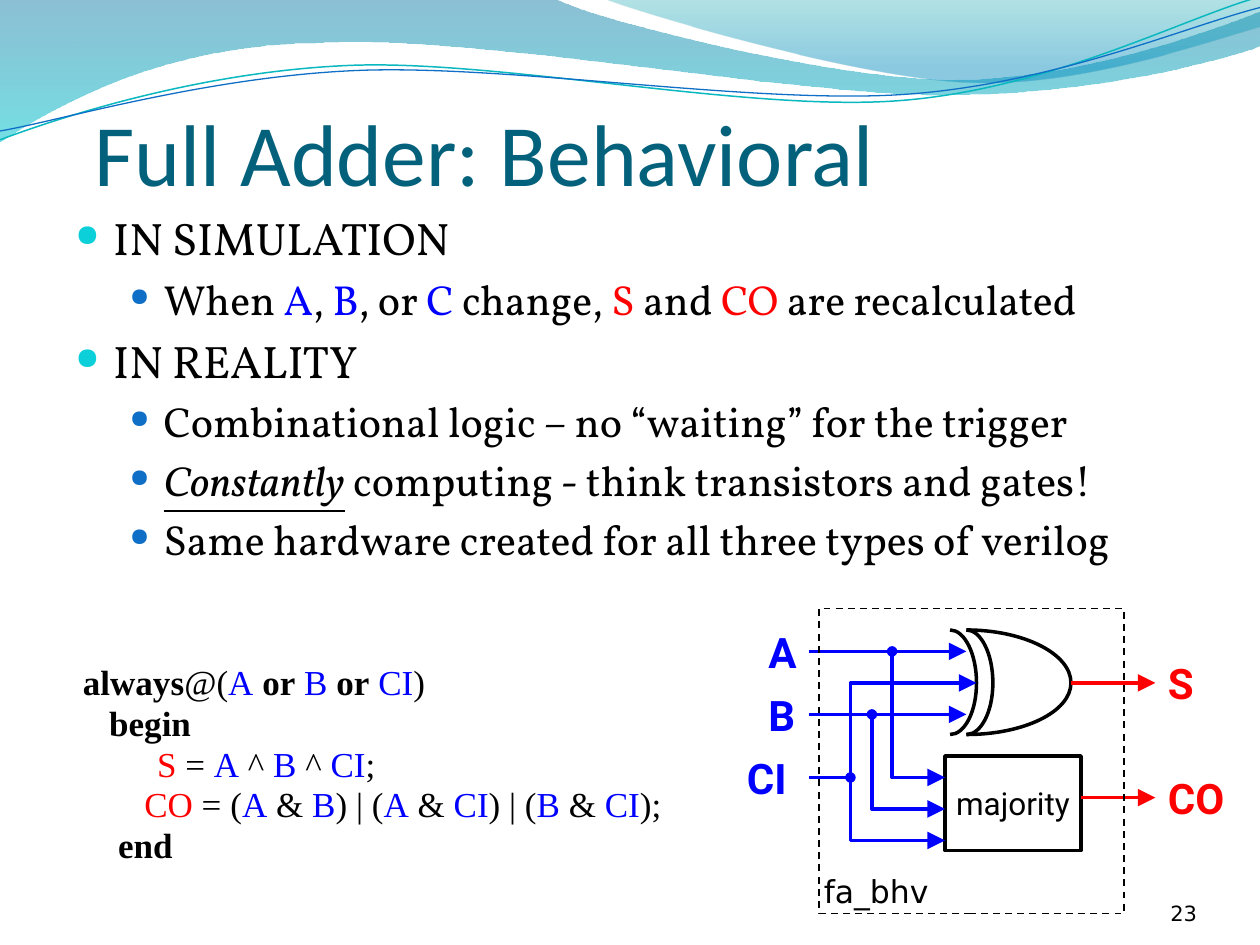
import pptx
import pptx.util
import pptx.dml.color
import pptx.enum.dml
import pptx.enum.shapes
import pptx.enum.text
import pptx.oxml
import pptx.oxml.ns
from lxml import etree

Inches, Pt = pptx.util.Inches, pptx.util.Pt
qn = pptx.oxml.ns.qn
ALIGN = pptx.enum.text.PP_ALIGN
ANCHOR = pptx.enum.text.MSO_ANCHOR

COLORS = {
    "black": "000000", "input": "0000FF", "output": "FF0000", "title": "04617B",
    "bullet": "0BD0D9", "sub_bullet": "0F6FC6", "teal": "0AB8BF", "blue": "0F6FC6",
    "deep": "0074A1", "aqua": "00C6CF", "sea": "00A1A9", "sky": "008BBF",
}
INPUTS, OUTPUTS = ("A", "B", "C", "CI"), ("S", "CO")
KEYWORDS = ("always", "or", "begin", "end")

TITLE = "Full Adder: Behavioral"
BULLETS = [
    (0, "IN SIMULATION"),
    (1, "When ~A~, ~B~, or ~C~ change, ~S~ and ~CO~ are recalculated"),
    (0, "IN REALITY"),
    (1, "Combinational logic – no “waiting” for the trigger"),
    (1, "~Constantly~ computing - think transistors and gates!"),
    (1, "Same hardware created for all three types of verilog"),
]
BULLET_STYLES = [(0.3, -0.3, 26, 67, "bullet"), (0.7, -0.27, 24, 60, "sub_bullet")]
CODE = [
    "~always~@(~A~ ~or~ ~B~ ~or~ ~CI~)",
    "   ~begin~",
    "\t   ~S~ = ~A~ ^ ~B~ ^ ~CI~;",
    "       ~CO~ = (~A~ & ~B~) | (~A~ & ~CI~) | (~B~ & ~CI~);",
    "    ~end~",
]
BANDS = [
    ([(0, -0.01), (4.4, -0.01),
      [(4.76, 0.17), (6.64, 0.63), (7.58, 0.63)], [(8.53, 0.63), (9.58, 0.26), (10, 0.09)],
      (10.01, 0.36), [(9.83, 0.44), (8.7, 0.76), (7.46, 0.75)],
      [(6.22, 0.75), (3.82, 0.28), (2.57, 0.34)], [(1.29, 0.35), (0.46, 0.83), (-0.01, 1.13)]],
     [(0, "deep", 45), (1, "aqua", 55)]),
    ([(4.79, -0.01), [(5.09, 0.11), (6.82, 0.62), (7.69, 0.65)],
      [(8.56, 0.69), (9.61, 0.32), (10, 0.21)], (10, 0)],
     [(0, "sea", 30), (0.8, "sky", 45)]),
]
WAVES = [
    ([(0, 1.11), [(0.48, 0.93), (1.58, 0.57), (2.77, 0.52)],
      [(3.95, 0.47), (5.93, 0.89), (7.13, 0.8)], [(8.33, 0.71), (9.38, 0.15), (9.98, -0.02)]],
     "teal", 0.85),
    ([(0, 1.04), [(0.47, 0.96), (1.64, 0.61), (2.83, 0.56)],
      [(4.03, 0.51), (5.97, 0.83), (7.17, 0.75)], [(8.36, 0.67), (9.41, 0.21), (10, 0.06)]],
     "blue", 0.75),
]
GATE_ARCS = [(7.67, 8.5), (7.67, 7.88), (7.54, 7.75)]
GATE_TOP, GATE_MIDDLE, GATE_BOTTOM = 5, 5.42, 5.83
STRAIGHT_WIRES = [
    ((6.42, 5.17), (7.67, 5.17), "input"), ((6.42, 5.67), (7.67, 5.67), "input"),
    ((8.5, 5.42), (9.17, 5.42), "output"), ((8.58, 6.33), (9.17, 6.33), "output"),
]
BENT_WIRES = [
    ([(6.75, 6.17), (6.75, 5.42), (7.75, 5.42)], True),
    ([(6.92, 5.67), (6.92, 6.42), (7.5, 6.42)], True),
    ([(7.08, 5.17), (7.08, 6.17), (7.5, 6.17)], True),
    ([(6.42, 6.17), (6.75, 6.17), (6.75, 6.67), (7.5, 6.67)], False),
]
PINS = [("A", 6, 4.92, 0.43), ("B", 6, 5.42, 0.43), ("CI", 5.83, 5.92, 0.59),
        ("S", 9.17, 5.17, 0.41), ("CO", 9.17, 6.08, 0.68)]


def rgb(name):
    return pptx.dml.color.RGBColor.from_string(COLORS[name])


def style_font(font, face, size, color="black", bold=False):
    font.name, font.size, font.bold = face, Pt(size), bold
    font.color.rgb = rgb(color)


def add_spans(para, marked, face, size):
    for index, part in enumerate(marked.split("~")):
        if not part:
            continue
        span = para.add_run()
        span.text = part
        name = part if index % 2 else ""
        color = "input" if name in INPUTS else "output" if name in OUTPUTS else "black"
        style_font(span.font, face, size, color, name in KEYWORDS)
        if name == "Constantly":
            span.font.italic = span.font.underline = True


def add_box(page, left, top, width, height, wrap=True):
    box = page.shapes.add_textbox(Inches(left), Inches(top), Inches(width), Inches(height))
    box.text_frame.word_wrap = wrap
    return box.text_frame


def add_label(page, text, place, face, size, color="black", bold=False):
    frame = add_box(page, *place, wrap=False)
    frame.text = text
    style_font(frame.paragraphs[0].runs[0].font, face, size, color, bold)
    return frame


def add_outline(page, steps, close=False):
    ends = [step if isinstance(step, tuple) else step[-1] for step in steps]
    points = [(Inches(x), Inches(y)) for x, y in ends]
    builder = page.shapes.build_freeform(*points[0], scale=1.0)
    builder.add_line_segments(points[1:], close=close)
    shape = builder.convert_to_shape()
    shape.shadow.inherit = False
    segments = list(shape._element.spPr.iter(qn("a:lnTo")))
    for segment, step in zip(segments, steps[1:]):
        if isinstance(step, list):
            curve = etree.Element(qn("a:cubicBezTo"))
            for x, y in step:
                etree.SubElement(curve, qn("a:pt"), x=str(Inches(x) - shape.left),
                                 y=str(Inches(y) - shape.top))
            segment.getparent().replace(segment, curve)
    return shape


def set_line(shape, color, width):
    shape.line.color.rgb = rgb(color)
    shape.line.width = Pt(width)


def add_curve(page, steps, color, width):
    shape = add_outline(page, steps)
    shape.fill.background()
    set_line(shape, color, width)
    return shape


def add_ends(shape, dot=False):
    line = shape.line._get_or_add_ln()
    if dot:
        etree.SubElement(line, qn("a:headEnd"), type="oval")
    etree.SubElement(line, qn("a:tailEnd"), type="triangle", w="lg", len="lg")


def add_rectangle(page, left, top, width, height, line_width):
    shape = page.shapes.add_shape(pptx.enum.shapes.MSO_SHAPE.RECTANGLE, Inches(left),
                                  Inches(top), Inches(width), Inches(height))
    shape.shadow.inherit = False
    shape.fill.background()
    set_line(shape, "black", line_width)
    return shape


def draw_background(page):
    for steps, stops in BANDS:
        band = add_outline(page, steps, close=True)
        band.line.fill.background()
        band.fill.gradient()
        band.fill.gradient_angle = 270
        for stop, (position, color, _) in zip(band.fill.gradient_stops, stops):
            stop.position = position
            stop.color.rgb = rgb(color)
        tints = band._element.spPr.iter(qn("a:srgbClr"))
        for tint, (_, _, opacity) in zip(tints, stops):
            etree.SubElement(tint, qn("a:alpha"), val=str(opacity * 1000))
    for steps, color, width in WAVES:
        add_curve(page, steps, color, width)


def write_text(page):
    title = page.shapes.title
    title.left, title.top, title.width, title.height = map(Inches, (0.75, 0.37, 9, 1.25))
    frame = title.text_frame
    frame.text = TITLE
    frame.auto_size = pptx.enum.text.MSO_AUTO_SIZE.NONE
    frame.vertical_anchor = ANCHOR.BOTTOM
    frame.margin_left = frame.margin_right = frame.margin_bottom = 0
    frame.paragraphs[0].alignment = ALIGN.LEFT
    style_font(frame.paragraphs[0].runs[0].font, "Calibri", 50, "title")

    frame = add_box(page, 0.5, 1.62, 9, 3.52)
    for index, (level, text) in enumerate(BULLETS):
        para = frame.add_paragraph() if index else frame.paragraphs[0]
        margin, indent, size, scale, color = BULLET_STYLES[level]
        para.level = level
        props = para._p.get_or_add_pPr()
        props.set("marL", str(Inches(margin)))
        props.set("indent", str(Inches(indent)))
        tint = etree.SubElement(props, qn("a:buClr"))
        etree.SubElement(tint, qn("a:srgbClr"), val=COLORS[color])
        etree.SubElement(props, qn("a:buSzPct"), val=str(scale * 1000))
        etree.SubElement(props, qn("a:buChar"), char="●")
        para.space_before = Pt(size * 0.2 if index else 0)
        add_spans(para, text, "Vollkorn", size)

    frame = add_box(page, 0.56, 5.26, 5.58, 1.73)
    for index, text in enumerate(CODE):
        para = frame.add_paragraph() if index else frame.paragraphs[0]
        props = para._p.get_or_add_pPr()
        props.set("marL", str(Inches(0.38)))
        props.set("indent", str(Inches(-0.38)))
        para.line_spacing = 0.8
        para.space_before = Pt(4 if index else 0)
        add_spans(para, text, "Times New Roman", 20)

    frame = add_label(page, "23", (8.67, 6.95, 0.83, 0.4), "DejaVu Sans", 12)
    frame.word_wrap = True
    frame.vertical_anchor = ANCHOR.BOTTOM
    frame.margin_left = frame.margin_right = frame.margin_top = frame.margin_bottom = 0
    frame.paragraphs[0].alignment = ALIGN.RIGHT


def draw_circuit(page):
    for back, tip in GATE_ARCS:
        bend = back + (tip - back) * 0.55
        add_curve(page, [(back, GATE_TOP),
                         [(bend, GATE_TOP), (tip, 5.19), (tip, GATE_MIDDLE)],
                         [(tip, 5.65), (bend, GATE_BOTTOM), (back, GATE_BOTTOM)]], "black", 2)
    majority = add_rectangle(page, 7.5, 6, 1.08, 0.75, 2)
    frame = majority.text_frame
    frame.text = "majority"
    frame.word_wrap = False
    frame.vertical_anchor = ANCHOR.MIDDLE
    frame.paragraphs[0].alignment = ALIGN.CENTER
    style_font(frame.paragraphs[0].runs[0].font, "Roboto", 18)
    for start, end, color in STRAIGHT_WIRES:
        wire = page.shapes.add_connector(pptx.enum.shapes.MSO_CONNECTOR.STRAIGHT,
                                         *map(Inches, start + end))
        set_line(wire, color, 2)
        add_ends(wire)
        etree.SubElement(wire._element.spPr, qn("a:effectLst"))
    for corners, dot in BENT_WIRES:
        add_ends(add_curve(page, corners, "input", 2), dot)
    for name, left, top, width in PINS:
        color = "input" if name in INPUTS else "output"
        add_label(page, name, (left, top, width, 0.5), "Roboto", 24, color, True)
    module = add_rectangle(page, 6.5, 4.83, 2.42, 2.42, 1)
    module.line.dash_style = pptx.enum.dml.MSO_LINE.DASH
    add_label(page, "fa_bhv", (6.44, 6.87, 1.06, 0.4), "DejaVu Sans", 18)


def main():
    deck = pptx.Presentation()
    deck.slide_width, deck.slide_height = Inches(10), Inches(7.5)
    page = deck.slides.add_slide(deck.slide_layouts[5])
    draw_background(page)
    write_text(page)
    draw_circuit(page)
    deck.save("out.pptx")


if __name__ == "__main__":
    main()
